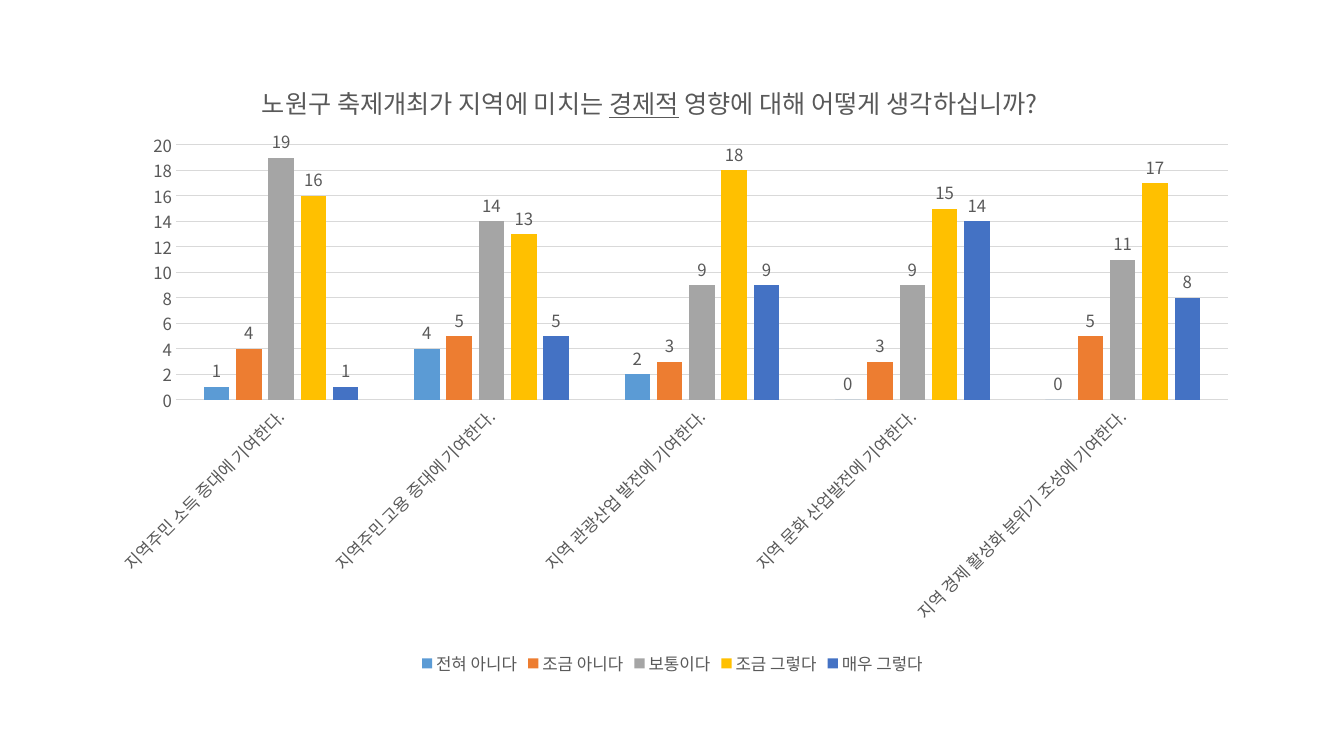
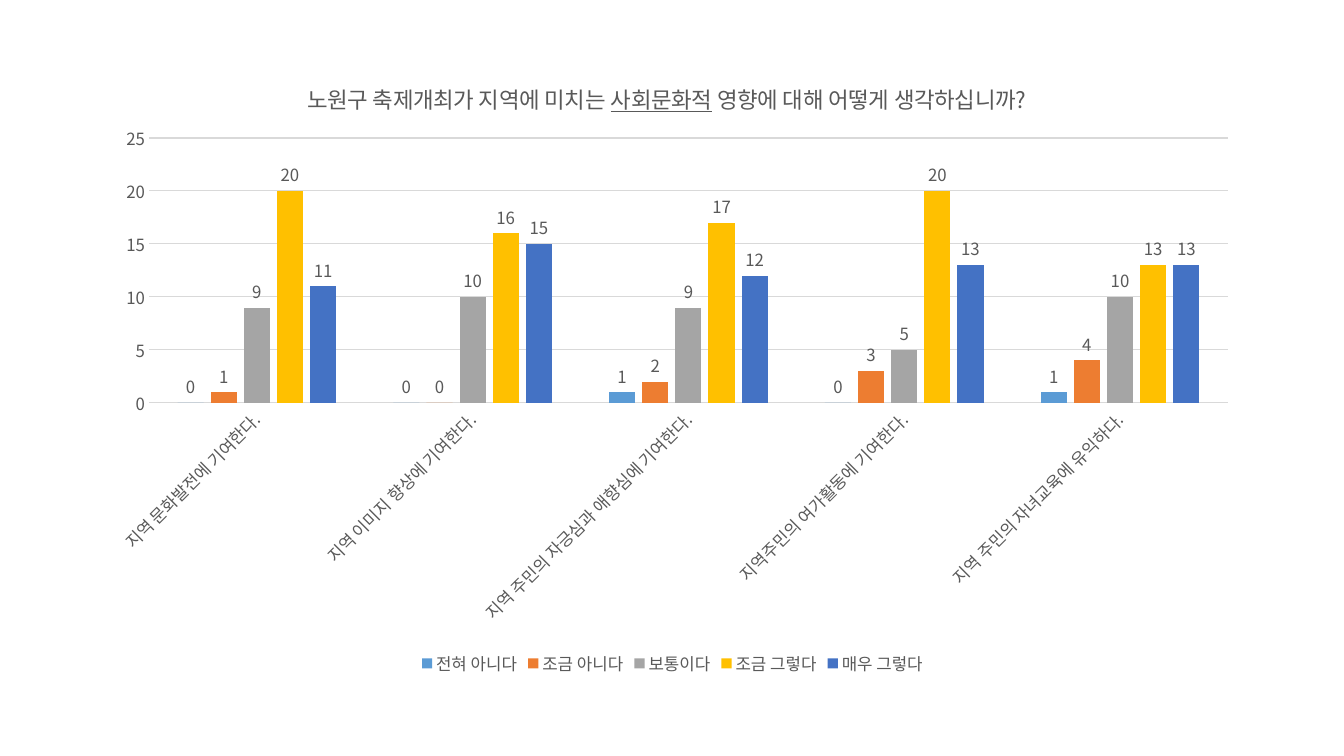
from lxml.etree import SubElement
from pptx import Presentation
from pptx.chart.data import CategoryChartData
from pptx.dml.color import RGBColor
from pptx.enum.chart import XL_CHART_TYPE as ChartType
from pptx.enum.chart import XL_LABEL_POSITION as LabelPosition
from pptx.enum.chart import XL_LEGEND_POSITION as LegendPosition
from pptx.enum.chart import XL_TICK_MARK as TickMark
from pptx.oxml.ns import qn
from pptx.util import Pt

PX = 12192000 / 1344
FONT = "Noto Sans CJK KR"
COLORS = {"text": "595959", "line": "D9D9D9"}
ANSWERS = {
    "전혀 아니다": "5B9BD5",
    "조금 아니다": "ED7D31",
    "보통이다": "A5A5A5",
    "조금 그렇다": "FFC000",
    "매우 그렇다": "4472C4",
}
CHART_BOX = (93, 53, 1159, 627)
SURVEYS = [
    {
        "topic": "경제적", "title_size": 18, "title_at": (166, 26),
        "plot_box": (83, 92, 1052, 255), "top": 20, "step": 2,
        "rows": {
            "지역주민 소득 증대에 기여한다.": (1, 4, 19, 16, 1),
            "지역주민 고용 증대에 기여한다.": (4, 5, 14, 13, 5),
            "지역 관광산업 발전에 기여한다.": (2, 3, 9, 18, 9),
            "지역 문화 산업발전에 기여한다.": (0, 3, 9, 15, 14),
            "지역 경제 활성화 분위기 조성에 기여한다.": (0, 5, 11, 17, 8),
        },
    },
    {
        "topic": "사회문화적", "title_size": 16, "title_at": (211, 25),
        "plot_box": (56, 85, 1079, 265), "top": 25, "step": 5,
        "rows": {
            "지역 문화발전에 기여한다.": (0, 1, 9, 20, 11),
            "지역 이미지 향상에 기여한다.": (0, 0, 10, 16, 15),
            "지역 주민의 자긍심과 애향심에 기여한다.": (1, 2, 9, 17, 12),
            "지역주민의 여가활동에 기여한다.": (0, 3, 5, 20, 13),
            "지역 주민의 자녀교육에 유익하다.": (1, 4, 10, 13, 13),
        },
    },
]


def px(length):
    """Turn px into EMU."""
    return round(length * PX)


def style_font(font, size=12):
    """Give a font the shared face and colour."""
    font.size = Pt(size)
    font.bold = False
    font.color.rgb = RGBColor.from_string(COLORS["text"])
    font.name = FONT
    SubElement(font._rPr, qn("a:ea"), typeface=FONT)


def style_line(line):
    """Give a line the shared thin grey."""
    line.color.rgb = RGBColor.from_string(COLORS["line"])
    line.width = Pt(0.75)


def place_part(holder, index, box, inner=False):
    """Place a chart part at a px box within the chart."""
    for old in holder.findall(qn("c:layout")):
        holder.remove(old)
    layout = SubElement(holder, qn("c:layout"))
    holder.insert(index, layout)
    manual = SubElement(layout, qn("c:manualLayout"))
    if inner:
        SubElement(manual, qn("c:layoutTarget"), val="inner")
    for side in "xy":
        SubElement(manual, qn(f"c:{side}Mode"), val="edge")
    for side, length, whole in zip("xywh", box, CHART_BOX[2:] * 2):
        SubElement(manual, qn(f"c:{side}"), val=f"{length / whole:.4f}")


def add_title(chart, survey):
    """Write the question with its topic underlined."""
    title = chart.chart_title
    para = title.text_frame.paragraphs[0]
    style_font(para.font, survey["title_size"])
    topic = survey["topic"]
    for text in ("노원구 축제개최가 지역에 미치는 ", topic,
                 " 영향에 대해 어떻게 생각하십니까?"):
        span = para.add_run()
        span.text = text
        style_font(span.font, survey["title_size"])
        span.font.underline = text == topic
    title.include_in_layout = False
    place_part(title._element, 1, survey["title_at"])


def style_axes(chart, survey):
    """Format both axes and the gridlines."""
    answers, scale = chart.category_axis, chart.value_axis
    for axis in (answers, scale):
        axis.major_tick_mark = axis.minor_tick_mark = TickMark.NONE
        style_font(axis.tick_labels.font)
    style_line(answers.format.line)
    answers._element.find(qn("c:txPr")).find(qn("a:bodyPr")).set("rot", "-2700000")
    scale.format.line.fill.background()
    style_line(scale.major_gridlines.format.line)
    scale.minimum_scale = 0
    scale.maximum_scale = survey["top"]
    scale.major_unit = survey["step"]


def style_columns(plot):
    """Colour the columns and label their values."""
    plot.gap_width = 219
    plot.overlap = -27
    plot.vary_by_categories = False
    for series, color in zip(plot.series, ANSWERS.values()):
        series.format.fill.solid()
        series.format.fill.fore_color.rgb = RGBColor.from_string(color)
        series.invert_if_negative = False
        labels = series.data_labels
        labels.show_value = True
        labels.position = LabelPosition.OUTSIDE_END
        style_font(labels.font)


def add_survey(page, survey, box):
    """Draw one survey question as a column chart in a px box."""
    data = CategoryChartData(number_format="General")
    data.categories = list(survey["rows"])
    for name, values in zip(ANSWERS, zip(*survey["rows"].values())):
        data.add_series(name, values)
    chart = page.shapes.add_chart(
        ChartType.COLUMN_CLUSTERED, *map(px, box), data).chart
    style_font(chart.font, 10)
    add_title(chart, survey)
    style_axes(chart, survey)
    style_columns(chart.plots[0])
    place_part(chart._chartSpace.chart.plotArea, 0, survey["plot_box"], True)
    chart.has_legend = True
    chart.legend.position = LegendPosition.BOTTOM
    chart.legend.include_in_layout = False
    style_font(chart.legend.font)


def main():
    """Build and save the deck."""
    deck = Presentation()
    deck.slide_width, deck.slide_height = px(1344), px(756)
    for survey in SURVEYS:
        page = deck.slides.add_slide(deck.slide_layouts[6])
        add_survey(page, survey, CHART_BOX)
    deck.save("out.pptx")


if __name__ == "__main__":
    main()
